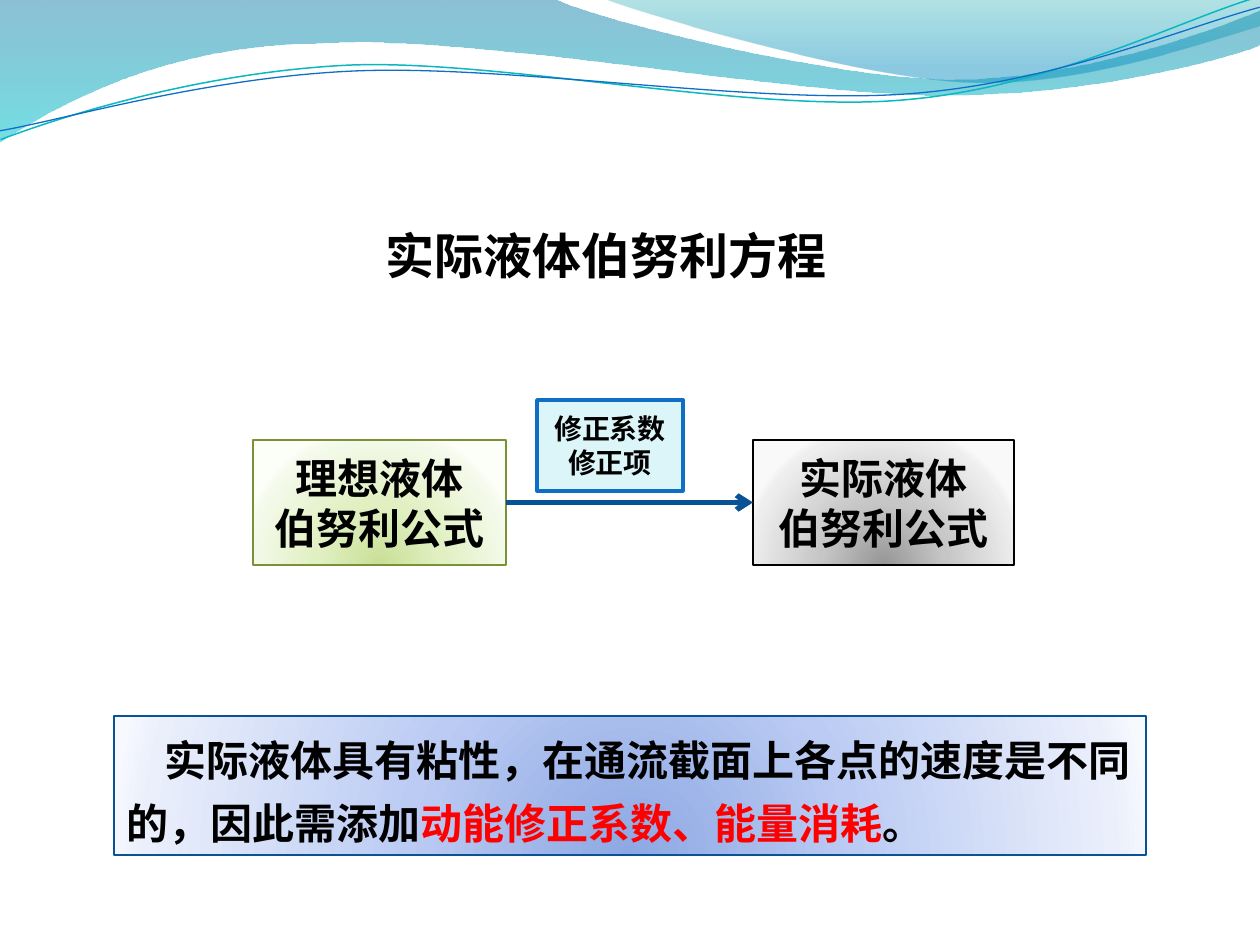
from pptx import Presentation
from pptx.dml.color import RGBColor
from pptx.enum.shapes import MSO_CONNECTOR, MSO_SHAPE
from pptx.enum.text import MSO_ANCHOR, MSO_AUTO_SIZE, PP_ALIGN
from pptx.oxml import parse_xml
from pptx.oxml.ns import qn
from pptx.util import Pt

RECT, STRAIGHT = MSO_SHAPE.RECTANGLE, MSO_CONNECTOR.STRAIGHT
TOP, MIDDLE = MSO_ANCHOR.TOP, MSO_ANCHOR.MIDDLE
LEFT, CENTER = PP_ALIGN.LEFT, PP_ALIGN.CENTER
NO_FIT = MSO_AUTO_SIZE.NONE
FONT = "Noto Sans CJK SC"
NS = "http://schemas.openxmlformats.org/drawingml/2006/main"
RIGHT_SIDE, LEFT_SIDE = 3, 1
TILT = 357.3

# Each wave: start point, then lines (2 numbers) or cubic curves (6 numbers)
BAND = [(0, -1), (554, -1), (600, 21, 837, 79, 955, 79),
        (1075, 79, 1207, 33, 1260, 11), (1261, 45),
        (1239, 55, 1096, 96, 940, 95), (784, 95, 481, 35, 324, 43),
        (163, 44, 58, 105, -1, 142)]
CREST = [(604, -1), (641, 14, 859, 78, 969, 82),
         (1079, 87, 1211, 40, 1260, 26), (1260, 0)]
TEAL = [(-2, 110), (59, 90, 200, 52, 350, 52),
        (498, 53, 745, 118, 897, 113), (1048, 109, 1184, 45, 1260, 27)]
BLUE = [(-2, 101), (58, 94, 207, 57, 357, 58),
        (508, 59, 751, 110, 902, 107), (1052, 104, 1187, 53, 1262, 37)]

# Gradient stops of the glowing boxes, centre to edge
GLOW = (0, 43, 93, 100)
GRAY = ("979797", "C6C6C6", "EEEEEE", "F9F9F9")
GREEN = ("C9DF97", "E0F0C1", "F5FAEC", "FCFEF8")
SKY = ("8DA8E3", "BBCBF3", "EAEFFB", "F7F9FF")


def px(n):
    return round(n * 914400 / 126)


def rgb(code):
    return RGBColor.from_string(code)


def edge(line, color, width):
    line.color.rgb = rgb(color)
    line.width = Pt(width)


def blend(shape, stops, shade):
    """Fill with (position, colour, opacity) stops; shade is the shape of the blend."""
    marks = "".join(
        f'<a:gs pos="{pos * 1000}"><a:srgbClr val="{color}">'
        f'<a:alpha val="{alpha * 1000}"/></a:srgbClr></a:gs>'
        for pos, color, alpha in stops)
    grad = parse_xml(f'<a:gradFill xmlns:a="{NS}" rotWithShape="1">'
                     f'<a:gsLst>{marks}</a:gsLst>{shade}</a:gradFill>')
    shape.fill.solid()
    props = shape._element.spPr
    props.replace(props.find(qn("a:solidFill")), grad)


def write(frame, paras, size, align=CENTER, anchor=MIDDLE, space=None):
    """Write paragraphs, each a list of (text, colour) runs."""
    frame.word_wrap = True
    frame.auto_size = NO_FIT
    frame.vertical_anchor = anchor
    for i, runs in enumerate(paras):
        para = frame.paragraphs[0] if i == 0 else frame.add_paragraph()
        para.alignment = align
        para.line_spacing = space
        for text, color in runs:
            run = para.add_run()
            run.text = text
            font = run.font
            font.name, font.size, font.bold = FONT, Pt(size), True
            font.color.rgb = rgb(color)
            east = parse_xml(f'<a:ea xmlns:a="{NS}" typeface="{FONT}"/>')
            run._r.rPr.find(qn("a:latin")).addnext(east)


def wave(shapes, parts, closed):
    """Outline through the end points, then bend the curved parts."""
    ends = [(px(part[-2]), px(part[-1])) for part in parts]
    pen = shapes.build_freeform(*ends[0], scale=1.0)
    pen.add_line_segments(ends[1:], close=closed)
    shape = pen.convert_to_shape()
    shape.shadow.inherit = False
    lines = list(shape._element.iter(qn("a:lnTo")))
    for line, part in zip(lines, parts[1:]):
        if len(part) == 6:
            points = "".join(
                f'<a:pt x="{px(x) - shape.left}" y="{px(y) - shape.top}"/>'
                for x, y in zip(part[::2], part[1::2]))
            curve = parse_xml(
                f'<a:cubicBezTo xmlns:a="{NS}">{points}</a:cubicBezTo>')
            line.getparent().replace(line, curve)
    return shape


def header(shapes):
    down = '<a:lin ang="5400000" scaled="0"/>'
    for parts, stops in (
            (BAND, [(0, "0074A1", 45), (100, "00C6CF", 55)]),
            (CREST, [(0, "00A1A9", 30), (80, "008BBF", 45)])):
        shape = wave(shapes, parts, True)
        blend(shape, stops, down)
        shape.line.fill.background()
    for parts, color, width in ((TEAL, "0AB8BF", 0.85), (BLUE, "0F6FC6", 0.75)):
        shape = wave(shapes, parts, False)
        shape.rotation = TILT
        shape.fill.background()
        edge(shape.line, color, width)


def title(shapes, x, y, w, h):
    box = shapes.title
    box.left, box.top, box.width, box.height = map(px, (x, y, w, h))
    write(box.text_frame, [[("实际液体伯努利方程", "000000")]], 28,
          anchor=TOP, space=1.5)


def panel(shapes, x, y, w, h, color, width):
    box = shapes.add_shape(RECT, *map(px, (x, y, w, h)))
    box.shadow.inherit = False
    edge(box.line, color, width)
    return box


def glow(shapes, x, y, w, h, color, tints):
    box = panel(shapes, x, y, w, h, color, 0.75)
    blend(box, [(pos, tint, 100) for pos, tint in zip(GLOW, tints)],
          '<a:path path="circle"><a:fillToRect l="50000" t="130000" '
          'r="50000" b="-30000"/></a:path>')
    return box


def flow(shapes, x, y):
    # Correction label above the arrow
    label = panel(shapes, x + 284, y, 146, 91, "0F6FC6", 2)
    label.fill.solid()
    label.fill.fore_color.rgb = rgb("DBF5F9")
    write(label.text_frame, [[("修正系数", "000000")], [("修正项", "000000")]], 16)

    # Ideal and real liquid
    ideal = glow(shapes, x, y + 40, 253, 125, "7B9135", GREEN)
    real = glow(shapes, x + 500, y + 40, 261, 125, "000000", GRAY)
    for box, name in ((ideal, "理想液体"), (real, "实际液体")):
        write(box.text_frame, [[(name, "000000")], [("伯努利公式", "000000")]], 24)

    # Arrow between them
    arrow = shapes.add_connector(STRAIGHT, 0, 0, 0, 0)
    arrow.begin_connect(ideal, RIGHT_SIDE)
    arrow.end_connect(real, LEFT_SIDE)
    edge(arrow.line, "095295", 3)
    arrow.line._get_or_add_ln().append(
        parse_xml(f'<a:tailEnd xmlns:a="{NS}" type="arrow"/>'))
    arrow._element.spPr.append(parse_xml(f'<a:effectLst xmlns:a="{NS}"/>'))


def note(shapes, x, y, w, h):
    box = glow(shapes, x, y, w, h, "095295", SKY)
    runs = [("实际液体具有粘性，在通流截面上各点的速度是不同的，因此需添加", "000000"),
            ("动能修正系数、能量消耗", "FF0000"), ("。", "000000")]
    write(box.text_frame, [runs], 24, LEFT, TOP, 1.25)
    box.text_frame.paragraphs[0]._p.get_or_add_pPr().set("indent", str(px(38)))


def main():
    deck = Presentation()
    deck.slide_width, deck.slide_height = px(1260), px(945)
    shapes = deck.slides.add_slide(deck.slide_layouts[5]).shapes
    header(shapes)
    title(shapes, 269, 190, 674, 88)
    flow(shapes, 253, 400)
    note(shapes, 114, 716, 1032, 139)
    deck.save("out.pptx")


if __name__ == "__main__":
    main()
